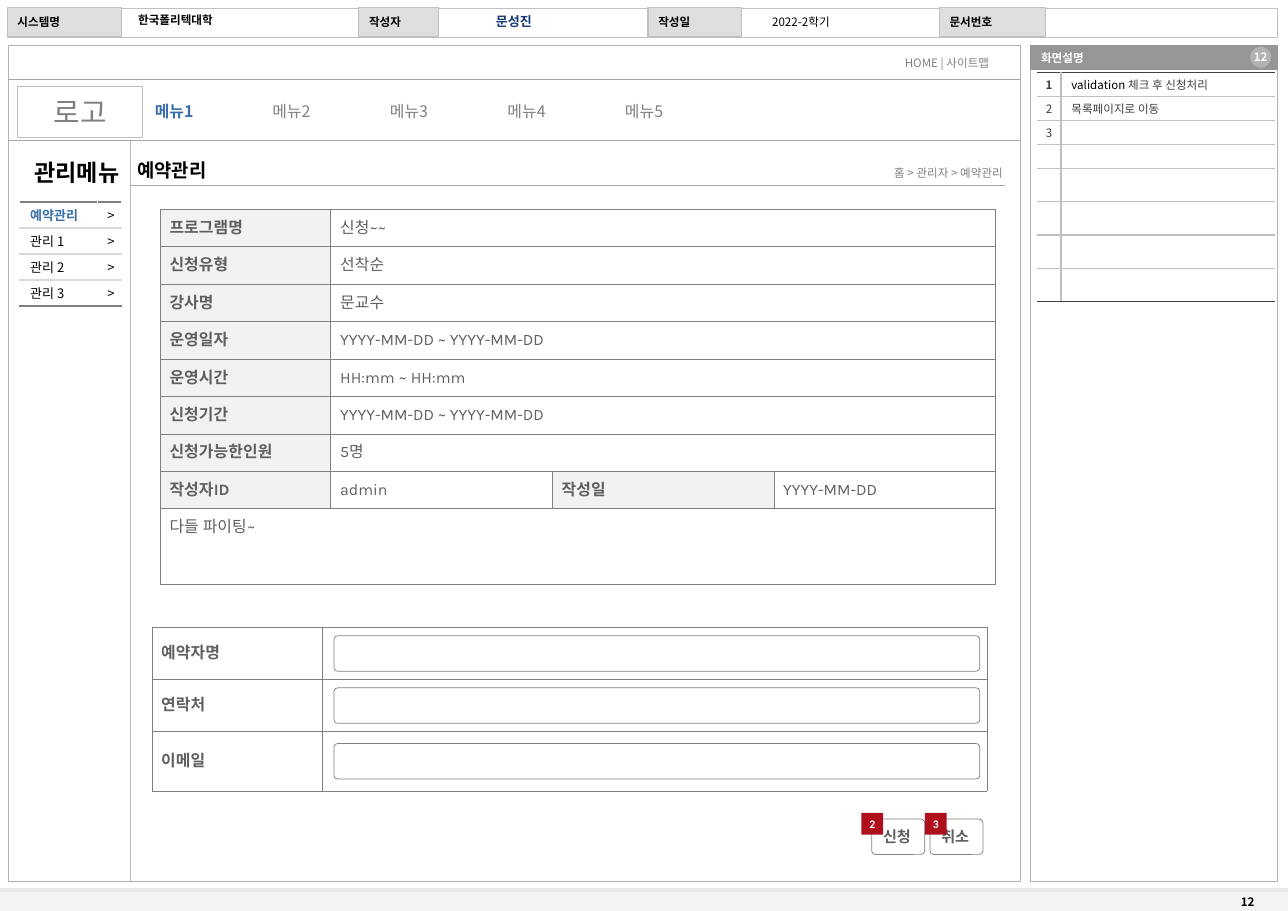
"""Build the reservation management wireframe slide."""
from copy import deepcopy

from lxml import etree
from pptx import Presentation
from pptx.dml.color import RGBColor
from pptx.enum.shapes import MSO_CONNECTOR, MSO_SHAPE
from pptx.enum.text import MSO_ANCHOR, PP_ALIGN
from pptx.oxml.ns import qn
from pptx.util import Inches, Pt

LEFT, CENTER, RIGHT = PP_ALIGN.LEFT, PP_ALIGN.CENTER, PP_ALIGN.RIGHT
TOP, MIDDLE = MSO_ANCHOR.TOP, MSO_ANCHOR.MIDDLE
RECTANGLE, ROUNDED, OVAL = MSO_SHAPE.RECTANGLE, MSO_SHAPE.ROUNDED_RECTANGLE, MSO_SHAPE.OVAL
STRAIGHT = MSO_CONNECTOR.STRAIGHT
NOTO, KARLA, CALIBRI = "Noto Sans CJK KR", "Karla", "Calibri"
COLORS = {
    "white": "FFFFFF", "black": "000000", "footer": "F3F3F3", "footer line": "EAEAEA",
    "frame": "B2B2B2", "header line": "C0C0C0", "header": "DEDEDE", "author": "163873",
    "bar": "969696", "divider": "A6A6A6", "light": "BFBFBF", "gray": "808080",
    "menu line": "D9D9D9", "active": "376EAB", "dark": "404040", "field": "5F5F5F",
    "label": "F2F2F2", "marker": "AF0F1D",
}
RGB = {name: RGBColor.from_string(value) for name, value in COLORS.items()}
SLIDE_WIDTH, SLIDE_HEIGHT = Pt(891.5), Pt(630.25)
WIDTH, HEIGHT = SLIDE_WIDTH.inches, SLIDE_HEIGHT.inches
FOOTER_TOP = 8.55
FRAME_LEFT, FRAME_TOP, FRAME_RIGHT, FRAME_BOTTOM = 0.08, 0.44, 9.81, 8.47
PANEL_LEFT, PANEL_WIDTH, PANEL_BAR = 9.91, 2.37, 0.23
MENU_BOTTOM, SIDE_RIGHT = 1.35, 1.25


def write(holder, text, size=8, color="black", bold=False, align=LEFT,
          font=NOTO, anchor=MIDDLE, margins=(0.1, 0.05)):
    """Put one formatted paragraph in a shape or a table cell."""
    frame = holder.text_frame
    box = holder if hasattr(holder, "vertical_anchor") else frame
    box.margin_left = box.margin_right = Inches(margins[0])
    box.margin_top = box.margin_bottom = Inches(margins[1])
    box.vertical_anchor = anchor
    frame.word_wrap = True
    frame.text = text
    paragraph = frame.paragraphs[0]
    paragraph.alignment = align
    for run in paragraph.runs:
        run.font.size, run.font.bold, run.font.name = Pt(size), bold, font
        run.font.color.rgb = RGB[color]
        etree.SubElement(run.font._element, qn("a:ea"), typeface=font)
    if not text:
        etree.SubElement(paragraph._p, qn("a:endParaRPr"), sz=str(size * 100))


def set_borders(cell, left, top, right, bottom, width):
    """Draw the four borders of a table cell, skipping sides without a colour."""
    properties = cell._tc.get_or_add_tcPr()
    sides = (("a:lnL", left), ("a:lnR", right), ("a:lnT", top), ("a:lnB", bottom))
    for index, (tag, color) in enumerate(sides):
        line = etree.Element(qn(tag), w=str(Pt(width)))
        if color:
            fill = etree.SubElement(line, qn("a:solidFill"))
            etree.SubElement(fill, qn("a:srgbClr"), val=COLORS[color])
        else:
            etree.SubElement(line, qn("a:noFill"))
        properties.insert(index, line)


presentation = Presentation()
presentation.slide_width, presentation.slide_height = SLIDE_WIDTH, SLIDE_HEIGHT
slide = presentation.slides.add_slide(presentation.slide_layouts[5])
shapes = slide.shapes

title = shapes.title
title.left, title.top, title.width, title.height = map(Inches, (1.22, 1.47, 0.93, 0.32))
write(title, "예약관리", 13, bold=True, anchor=TOP)

header = dict(bold=True)
white = dict(color="white", bold=True)
button = dict(size=10.5, color="field", bold=True, font=KARLA, margins=(0.1, 0.07))
marker = dict(color="white", bold=True, align=CENTER, font=CALIBRI, margins=(0, 0))

reservation_left, reservation_top = 1.46, 6.03
reservation_rows = [0.5, 0.5, 0.57]
side_rows = [[name, ">"] for name in ("예약관리", "관리 1", "관리 2", "관리 3")]
note_rows = [["1", "validation 체크 후 신청처리"], ["2", "목록페이지로 이동"], ["3", ""]] + [["", ""]] * 5
program_rows = [[label, value, "", ""] for label, value in [
    ("프로그램명", "신청~~"), ("신청유형", "선착순"), ("강사명", "문교수"),
    ("운영일자", "YYYY-MM-DD ~ YYYY-MM-DD"), ("운영시간", "HH:mm ~ HH:mm"),
    ("신청기간", "YYYY-MM-DD ~ YYYY-MM-DD"), ("신청가능한인원", "5명")]]
program_rows += [["작성자ID", "admin", "작성일", "YYYY-MM-DD"], ["다들 파이팅~", "", "", ""]]
reservation_cells = [[name, ""] for name in ("예약자명", "연락처", "이메일")]
table_data = {
    "side": (0.19, 1.94, [0.75, 0.23], [0.25] * 4, side_rows),
    "notes": (9.97, 0.7, [0.23, 2.06], [0.23] * 4 + [0.32] * 4, note_rows),
    "reservation": (reservation_left, reservation_top, [1.64, 6.39], reservation_rows,
                    reservation_cells),
    "program": (1.54, 2.01, [1.64] + [2.13] * 3, [0.36] * 8 + [0.73], program_rows),
}

tables = {}
for name, (left, top, columns, rows, cells) in table_data.items():
    area = map(Inches, (left, top, sum(columns), sum(rows)))
    table = tables[name] = shapes.add_table(len(rows), len(columns), *area).table
    table.first_row = table.horz_banding = False
    for column, width in zip(table.columns, columns):
        column.width = Inches(width)
    for row, height in zip(table.rows, rows):
        row.height = Inches(height)
    for row, values in enumerate(cells):
        for column, text in enumerate(values):
            cell = table.cell(row, column)
            first, last = row == 0, row == len(rows) - 1
            fill, borders = None, ["gray"] * 4 + [0.5]
            style = dict(size=11, color="field", bold=column % 2 == 0, font=KARLA,
                         margins=(0.09, 0.09))
            if name == "side":
                active = first and column == 0
                style = dict(size=9, color="active" if active else "black", bold=active,
                             align=RIGHT if column else LEFT, margins=((0.1, 0.07)[column], 0.03))
                borders = ["white", "gray" if first else "menu line", "white",
                           "gray" if last else "menu line", 1]
            elif name == "notes":
                fill = "white"
                style = dict(color="dark", bold=first and column == 0,
                             align=LEFT if column else CENTER, margins=((0, 0.1)[column], 0.03))
                borders = ["light" if column else None, "dark" if first else "light",
                           None if column else "light", "dark" if last else "light", 1]
            elif name == "program" and last:
                style.update(bold=False, anchor=TOP)
            elif name == "program" and column % 2 == 0:
                fill = "label"
            write(cell, text, **style)
            if fill:
                cell.fill.solid()
                cell.fill.fore_color.rgb = RGB[fill]
            else:
                cell.fill.background()
            set_borders(cell, *borders)

program = tables["program"]
for row in range(7):
    program.cell(row, 1).merge(program.cell(row, 3))
program.cell(8, 0).merge(program.cell(8, 3))

validation = tables["notes"].cell(0, 1).text_frame.paragraphs[0]
validation.runs[0]._r.addnext(deepcopy(validation.runs[0]._r))
keyword, remainder = validation.runs
keyword.text, remainder.text = "validation", " 체크 후 신청처리"
keyword.font.color.rgb = RGB["black"]

boxes = [
    (RECTANGLE, 0, FOOTER_TOP, WIDTH, HEIGHT - FOOTER_TOP, "footer", None, 0, "", {}),
    (RECTANGLE, FRAME_LEFT, FRAME_TOP, FRAME_RIGHT - FRAME_LEFT, FRAME_BOTTOM - FRAME_TOP,
     None, "frame", 0.75, "", {}),
    (RECTANGLE, PANEL_LEFT, FRAME_TOP + PANEL_BAR, PANEL_WIDTH,
     FRAME_BOTTOM - FRAME_TOP - PANEL_BAR, None, "frame", 0.5, "", {}),
    (RECTANGLE, 0.07, 0.08, 12.21, 0.28, "white", "header line", 0.75, "", {}),
    (RECTANGLE, PANEL_LEFT, FRAME_TOP, PANEL_WIDTH, PANEL_BAR, "bar", "bar", 0.5, "화면설명", white),
    (OVAL, 12.02, 0.45, 0.2, 0.2, "frame", None, 0, "12",
     dict(white, align=CENTER, margins=(0, 0))),
    (RECTANGLE, 0.17, 0.83, 1.2, 0.49, "white", "light", 0.25, "로고",
     dict(size=20, color="gray", align=CENTER)),
]
boxes += [(RECTANGLE, left, 0.07, width, 0.28, "header", "header line", 0.75, text, header)
          for left, width, text in [(0.07, 1.1, "시스템명"), (3.45, 0.77, "작성자"),
                                    (6.23, 0.9, "작성일"), (9.03, 1.02, "문서번호")]]
input_height = 0.34
boxes += [(ROUNDED, 3.21, reservation_top + sum(reservation_rows[:row]) + (height - input_height) / 2,
           6.21, input_height, "white", "gray", 0.5, "", {})
          for row, height in enumerate(reservation_rows)]
boxes += [(ROUNDED, left, 7.87, 0.51, 0.34, "white", "gray", 0.5, text, button)
          for left, text in [(8.38, "신청"), (8.94, "취소")]]
boxes += [(RECTANGLE, left, 7.81, 0.21, 0.21, "marker", None, 0, text, marker)
          for left, text in [(8.28, "2"), (8.89, "3")]]
for kind, left, top, width, height, fill, outline, weight, text, style in boxes:
    shape = shapes.add_shape(kind, *map(Inches, (left, top, width, height)))
    shape.shadow.inherit = False
    if kind == ROUNDED:
        shape.adjustments[0] = 0.11
    if fill:
        shape.fill.solid()
        shape.fill.fore_color.rgb = RGB[fill]
    else:
        shape.fill.background()
    if outline:
        shape.line.color.rgb, shape.line.width = RGB[outline], Pt(weight)
    else:
        shape.line.fill.background()
    if text:
        write(shape, text, **style)

lines = [
    (0, FOOTER_TOP, WIDTH, FOOTER_TOP, "footer line", 3),
    (SIDE_RIGHT, MENU_BOTTOM, SIDE_RIGHT, FRAME_BOTTOM, "light", 0.25),
    (SIDE_RIGHT, 1.78, 9.66, 1.78, "divider", 0.75),
    (FRAME_LEFT, MENU_BOTTOM, FRAME_RIGHT, MENU_BOTTOM, "divider", 0.75),
    (FRAME_LEFT, 0.76, FRAME_RIGHT, 0.76, "divider", 0.75),
]
for left, top, right, bottom, color, width in lines:
    line = shapes.add_connector(STRAIGHT, *map(Inches, (left, top, right, bottom)))
    line.line.color.rgb, line.line.width = RGB[color], Pt(width)
    etree.SubElement(line._element.spPr, qn("a:effectLst"))

texts = [
    (11.83, 8.55, 0.55, 0.2, "12", header),
    (4.23, 0.08, 1.42, 0.25, "문성진", dict(size=9, color="author", bold=True, align=CENTER)),
    (1.23, 0.08, 2.22, 0.24, "한국폴리텍대학", header),
    (7.31, 0.09, 0.78, 0.24, "2022-2학기", dict(align=CENTER, margins=(0, 0.05))),
    (0.08, 1.47, 1.32, 0.37, "관리메뉴", dict(size=16, bold=True, align=CENTER)),
    (8.32, 1.55, 1.42, 0.24, "홈 > 관리자 > 예약관리", dict(color="gray", align=RIGHT)),
    (8.6, 0.49, 1.2, 0.24, "HOME | 사이트맵", dict(color="gray")),
]
menu_left, menu_pitch = 1.39, 1.13
for index in range(5):
    style = dict(size=11, color="gray" if index else "active", bold=index == 0)
    texts.append((menu_left + index * menu_pitch, 0.93, menu_pitch, 0.29, f"메뉴{index + 1}", style))
for left, top, width, height, text, style in texts:
    write(shapes.add_textbox(*map(Inches, (left, top, width, height))), text, anchor=TOP, **style)

presentation.save("out.pptx")
